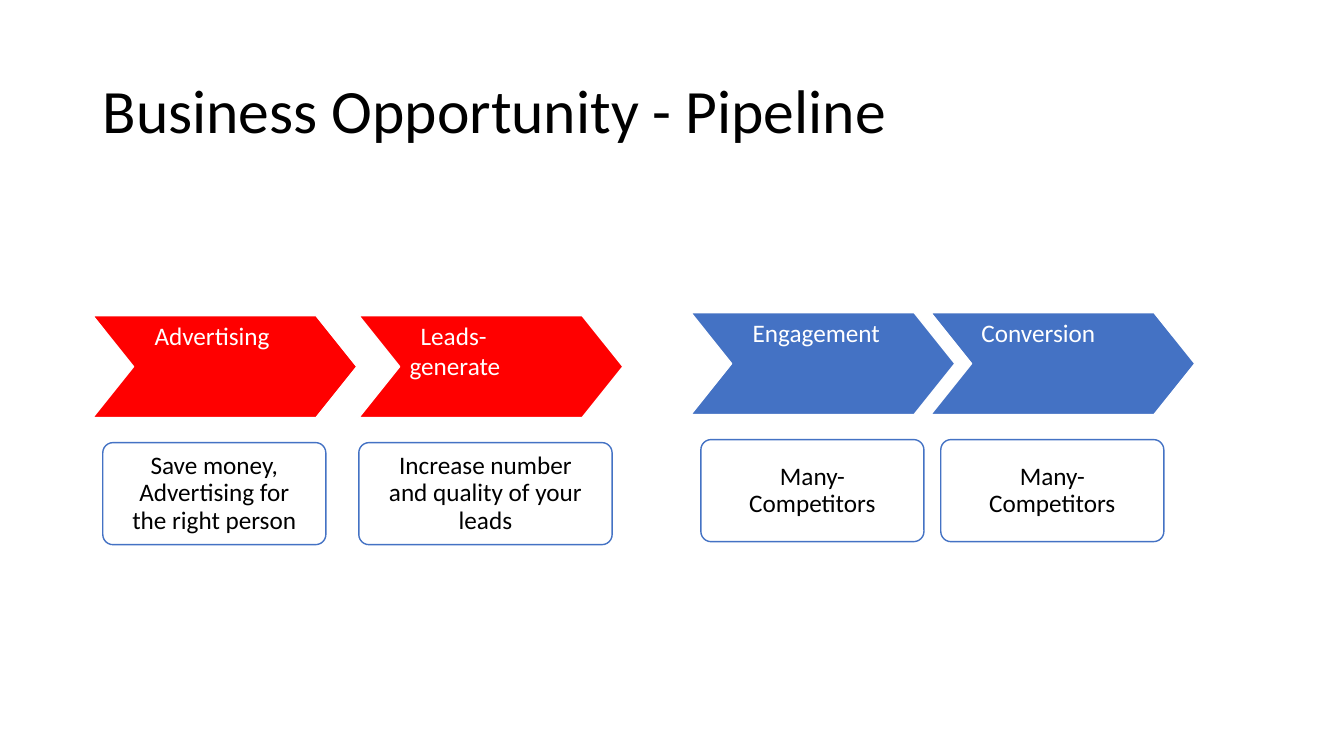
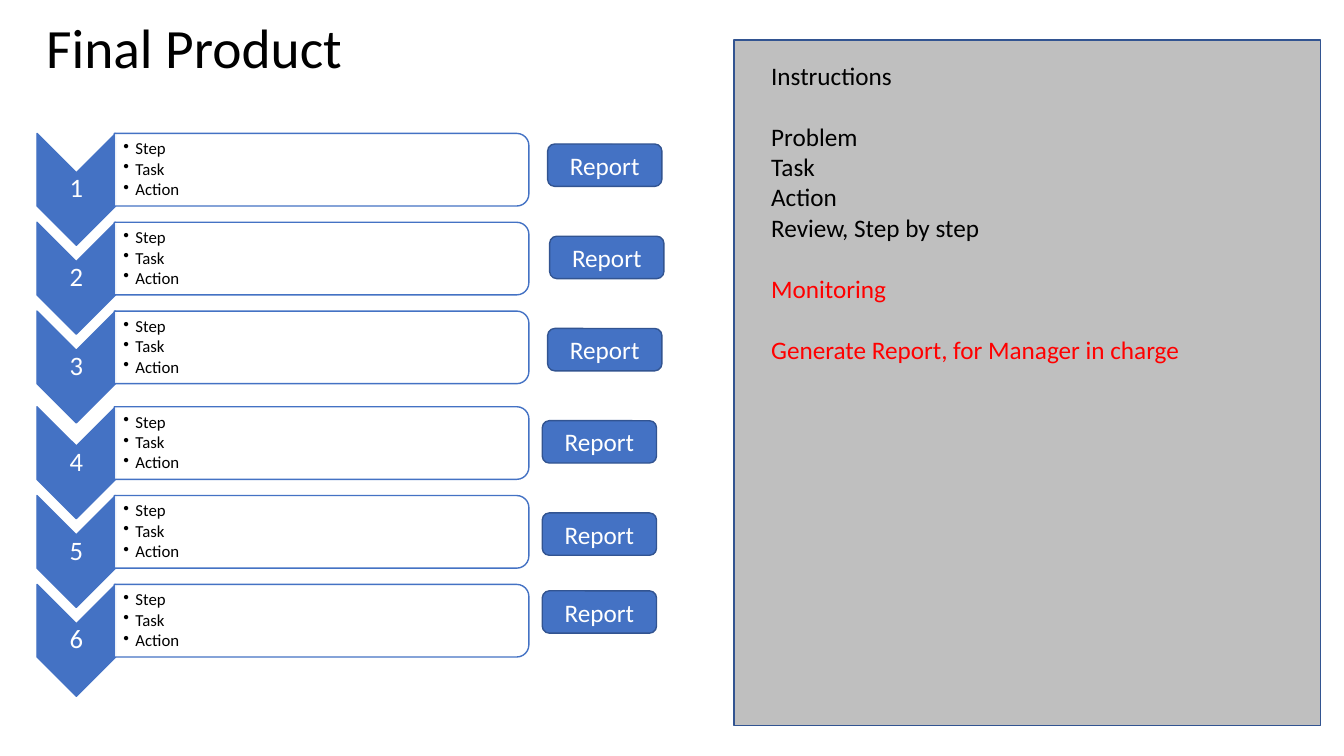
import pptx
import pptx.dml.color
import pptx.enum.shapes
import pptx.enum.text
import pptx.oxml.ns
import pptx.util
from dataclasses import dataclass
from lxml import etree

SHAPE = pptx.enum.shapes.MSO_SHAPE
ANCHOR = pptx.enum.text.MSO_ANCHOR
ALIGN = pptx.enum.text.PP_ALIGN
Inches, Pt = pptx.util.Inches, pptx.util.Pt
qn = pptx.oxml.ns.qn

WIDTH, HEIGHT = Inches(13.33), Inches(7.5)


@dataclass(frozen=True)
class Theme:
    font: str = "Calibri"
    ink: str = "000000"
    paper: str = "FFFFFF"
    blue: str = "4472C4"
    dark_blue: str = "325491"
    red: str = "FF0000"
    gray: str = "BFBFBF"
    title: float = 44
    small_title: float = 39.6
    number: float = 19
    body: float = 18
    bullet: float = 12
    blank_line: float = 22
    tight: float = 0.9


THEME = Theme()


def rgb(value):
    return pptx.dml.color.RGBColor.from_string(value)


# Boxes are (left, top, width, height) in percent of the slide's size
def place(box):
    left, top, width, height = box
    return [round(share * side / 100) for share, side in
            ((left, WIDTH), (top, HEIGHT), (width, WIDTH), (height, HEIGHT))]


def add_shape(slide, kind, box, fill, line, corner=None, turned=False):
    """Add a preset shape; a turned one fills its box after a quarter turn."""
    left, top, width, height = place(box)
    if turned:
        left += (width - height) // 2
        top += (height - width) // 2
        width, height = height, width
    shape = slide.shapes.add_shape(kind, left, top, width, height)
    shape.rotation = 90 if turned else 0
    if corner is not None:
        shape.adjustments[0] = corner
    shape.shadow.inherit = False
    shape.fill.solid()
    shape.fill.fore_color.rgb = rgb(fill)
    shape.line.color.rgb = rgb(line)
    shape.line.width = Pt(1)
    return shape


def make_translucent(shape, percent):
    color = shape.fill._xPr.find(qn("a:solidFill"))[0]
    etree.SubElement(color, qn("a:alpha")).set("val", str(percent * 1000))


def set_frame(shape, anchor, margins=(0.1, 0.05, 0.1, 0.05)):
    frame = shape.text_frame
    frame.word_wrap = True
    frame.vertical_anchor = anchor
    (frame.margin_left, frame.margin_top,
     frame.margin_right, frame.margin_bottom) = map(Inches, margins)
    return frame


def style(paragraph, text, size, color, align=ALIGN.LEFT, spacing=None):
    paragraph.text = text
    paragraph.alignment = align
    paragraph.line_spacing = spacing
    paragraph.font.name = THEME.font
    paragraph.font.size = Pt(size)
    paragraph.font.color.rgb = rgb(color)


def add_text(slide, box, text, size, color, align=ALIGN.LEFT, margins=(0.1, 0.05, 0.1, 0.05)):
    frame = set_frame(slide.shapes.add_textbox(*place(box)), ANCHOR.MIDDLE, margins)
    style(frame.paragraphs[0], text, size, color, align, THEME.tight)


def paragraphs_for(frame, items):
    for index, item in enumerate(items):
        yield (frame.add_paragraph() if index else frame.paragraphs[0]), item


# Pipeline: a chevron with a card below it
def add_stage(slide, left, top, name, note, color, indent, card_shift, card_width):
    chevron = add_shape(slide, SHAPE.CHEVRON, (left, top, 19.65, 13.5), color, THEME.paper, 0.4)
    label = set_frame(chevron, ANCHOR.TOP).paragraphs[0]
    label._p.get_or_add_pPr().set("indent", str(Inches(indent)))
    style(label, name, THEME.body, THEME.paper)

    card = add_shape(slide, SHAPE.ROUNDED_RECTANGLE, (left + card_shift, top + 16.8, card_width, 13.5),
                     THEME.paper, THEME.blue, 0.1)
    make_translucent(card, 90)
    frame = set_frame(card, ANCHOR.MIDDLE, (0.23,) * 4)
    style(frame.paragraphs[0], note, THEME.body, THEME.ink, ALIGN.CENTER, THEME.tight)


# Final product: a numbered chevron with a bulleted bar beside it
def add_step(slide, number, top, bullets):
    marker = (2.75, top, 5.85, 14.8)
    add_shape(slide, SHAPE.CHEVRON, marker, THEME.blue, THEME.blue, turned=True)
    add_text(slide, marker, str(number), THEME.number, THEME.paper, ALIGN.CENTER, (0.01,) * 4)

    bar = (8.5, top, 30.85, 9.6)
    make_translucent(add_shape(slide, SHAPE.ROUND_2_SAME_RECTANGLE, bar, THEME.paper,
                               THEME.blue, turned=True), 90)
    frame = set_frame(slide.shapes.add_textbox(*place(bar)), ANCHOR.MIDDLE, (0.09, 0.01, 0.01, 0.01))
    for paragraph, text in paragraphs_for(frame, bullets):
        properties = paragraph._p.get_or_add_pPr()
        properties.set("marL", str(Inches(0.12)))
        properties.set("indent", str(Inches(-0.12)))
        etree.SubElement(properties, qn("a:buChar")).set("char", "•")
        style(paragraph, text, THEME.bullet, THEME.ink, spacing=THEME.tight)
        paragraph.space_after = Pt(1.6)


def add_report(slide, left, top):
    button = add_shape(slide, SHAPE.ROUNDED_RECTANGLE, (left, top, 8.5, 5.6), THEME.blue, THEME.dark_blue)
    frame = set_frame(button, ANCHOR.MIDDLE)
    style(frame.paragraphs[0], "Report", THEME.body, THEME.paper, ALIGN.CENTER)


def add_instructions(slide, box, groups):
    panel = add_shape(slide, SHAPE.RECTANGLE, box, THEME.gray, THEME.dark_blue)
    frame = set_frame(panel, ANCHOR.TOP, (0.37, 0.2, 0.1, 0.05))
    lines = [(text, color, place_in_group == 0)
             for color, texts in groups for place_in_group, text in enumerate(texts)]
    for paragraph, (text, color, opens_group) in paragraphs_for(frame, lines):
        style(paragraph, text, THEME.body, color)
        if opens_group and text != lines[0][0]:
            paragraph.space_before = Pt(THEME.blank_line)


def build_pipeline(slide):
    add_text(slide, (6.9, 5.3, 86.3, 19.3), "Business Opportunity - Pipeline", THEME.title, THEME.ink)
    for stage in (
        (6.9, 41.75, "Advertising", "Save money, Advertising for the right person",
         THEME.red, 0.11, 0.75, 16.6),
        (26.7, 41.75, "Leads-generate", "Increase number and quality of your leads",
         THEME.red, 0.11, 0, 18.85),
        (51.4, 41.35, "Engagement", "Many-Competitors", THEME.blue, 0.11, 0.75, 16.6),
        (69.25, 41.35, "Conversion", "Many-Competitors", THEME.blue, 0, 0.75, 16.6),
    ):
        add_stage(slide, *stage)


def build_final_product(slide):
    add_text(slide, (2.7, 3.5, 26.6, 6.5), "Final Product", THEME.small_title, THEME.ink)
    add_instructions(slide, (54.6, 5.3, 43.65, 90.7), (
        (THEME.ink, ("Instructions",)),
        (THEME.ink, ("Problem", "Task", "Action", "Review, Step by step")),
        (THEME.red, ("Monitoring",)),
        (THEME.red, ("Generate Report, for Manager in charge",)),
    ))

    # Two groups of three steps, with a little more room between the groups
    for index in range(6):
        top = 17.65 + 11.75 * index + 0.9 * (index // 3)
        add_step(slide, index + 1, top, ("Step", "Task", "Action"))

    # The last report button sits closer to the one above
    for index, left in enumerate((40.75, 40.9, 40.75, 40.35, 40.35, 40.35)):
        add_report(slide, left, 78.15 if index == 5 else 19.05 + 12.2 * index)


def main():
    deck = pptx.Presentation()
    deck.slide_width, deck.slide_height = WIDTH, HEIGHT
    for build in (build_pipeline, build_final_product):
        build(deck.slides.add_slide(deck.slide_layouts[6]))
    deck.save("out.pptx")


if __name__ == "__main__":
    main()
